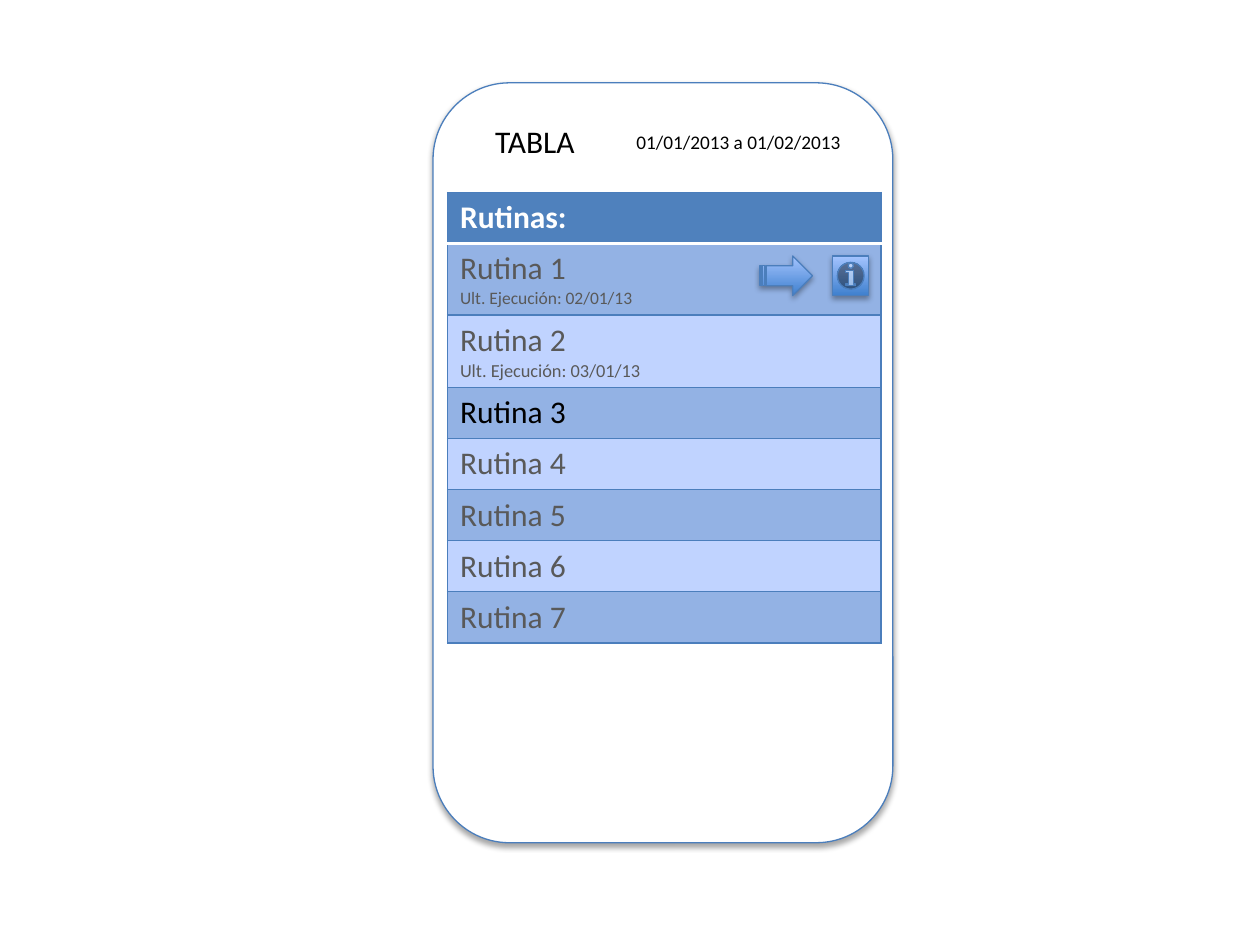
from typing import NamedTuple

from lxml.etree import SubElement
from pptx import Presentation
from pptx.dml.color import RGBColor
from pptx.enum.shapes import MSO_SHAPE
from pptx.enum.text import PP_ALIGN
from pptx.oxml.ns import qn
from pptx.util import Cm, Pt

WHITE = RGBColor(0xFF, 0xFF, 0xFF)
BLACK = RGBColor(0, 0, 0)
GRAY = RGBColor(0x59, 0x59, 0x59)
OUTLINE = RGBColor(0x4B, 0x7E, 0xBC)
HEADER = RGBColor(0x4F, 0x81, 0xBD)
BAND_DARK = RGBColor(0x93, 0xB2, 0xE4)
BAND_LIGHT = RGBColor(0xC0, 0xD3, 0xFF)
GRADIENT = (RGBColor(0x3F, 0x80, 0xCE), RGBColor(0xA4, 0xC4, 0xFF))
FONT = "Calibri"


class Box(NamedTuple):
    left: float
    top: float
    width: float
    height: float

    def lengths(self) -> tuple:
        return tuple(Cm(v) for v in self)


class Label(NamedTuple):
    text: str
    box: Box
    size: float
    align: PP_ALIGN


class Routine(NamedTuple):
    name: str
    detail: str = ""
    detail_size: float = 10
    color: RGBColor = GRAY


class Icon(NamedTuple):
    kind: MSO_SHAPE
    box: Box


LABELS = [
    Label("TABLA", Box(9.73, 2.34, 7.32, 1.03), 18, PP_ALIGN.LEFT),
    Label("01/01/2013 a 01/02/2013", Box(9.35, 2.51, 7.85, 0.73), 11, PP_ALIGN.RIGHT),
]
ROUTINES = [
    Routine("Rutina 1", "Ult. Ejecución: 02/01/13"),
    Routine("Rutina 2", "Ult. Ejecución: 03/01/13", 10.5),
    Routine("Rutina 3", color=BLACK),
    *(Routine(f"Rutina {n}") for n in range(4, 8)),
]
ICONS = [
    Icon(MSO_SHAPE.ACTION_BUTTON_INFORMATION, Box(16.79, 5.16, 0.72, 0.8)),
    Icon(MSO_SHAPE.STRIPED_RIGHT_ARROW, Box(15.32, 5.16, 1.06, 0.8)),
]
ROW_HEIGHT = 1.03


def add_run(p, text: str, size: float, color: RGBColor, bold: bool = False) -> None:
    r = p.add_run()
    r.text = text
    r.font.name = FONT
    r.font.size = Pt(size)
    r.font.bold = bold
    r.font.color.rgb = color


def add_outlined_shape(slide, kind: MSO_SHAPE, box: Box):
    sp = slide.shapes.add_shape(kind, *box.lengths())
    sp.line.color.rgb = OUTLINE
    sp.line.width = Pt(0.75)
    sp.shadow.inherit = False
    effects = sp._element.spPr.find(qn("a:effectLst"))
    shadow = SubElement(effects, qn("a:outerShdw"), blurRad="40000",
                        dist="23000", dir="5400000", rotWithShape="0")
    color = SubElement(shadow, qn("a:srgbClr"), val=str(BLACK))
    SubElement(color, qn("a:alpha"), val="35000")
    return sp


def add_label(slide, label: Label) -> None:
    tf = slide.shapes.add_textbox(*label.box.lengths()).text_frame
    tf.word_wrap = True
    p = tf.paragraphs[0]
    p.alignment = label.align
    add_run(p, label.text, label.size, BLACK)


def add_icon(slide, icon: Icon) -> None:
    sp = add_outlined_shape(slide, icon.kind, icon.box)
    sp.fill.gradient()
    sp.fill.gradient_angle = 90
    for stop, color in zip(sp.fill.gradient_stops, GRADIENT):
        stop.color.rgb = color


def style_cell(cell, fill: RGBColor, top: tuple, bottom: tuple) -> None:
    side = (OUTLINE, 0.75)
    tc_pr = cell._tc.get_or_add_tcPr()
    for tag, (color, width) in zip("LRTB", (side, side, top, bottom)):
        ln = SubElement(tc_pr, qn(f"a:ln{tag}"), w=str(Pt(width)))
        solid = SubElement(ln, qn("a:solidFill"))
        SubElement(solid, qn("a:srgbClr"), val=str(color))
    cell.fill.solid()
    cell.fill.fore_color.rgb = fill


def add_routine_table(slide) -> None:
    count = len(ROUTINES) + 1
    box = Box(9.02, 3.88, 8.74, ROW_HEIGHT * count)
    table = slide.shapes.add_table(count, 1, *box.lengths()).table
    for row in table.rows:
        row.height = Cm(ROW_HEIGHT)
    thin, divider = (OUTLINE, 0.75), (WHITE, 2)
    header = table.cell(0, 0)
    style_cell(header, HEADER, thin, divider)
    add_run(header.text_frame.paragraphs[0], "Rutinas:", 18, WHITE, True)
    for i, routine in enumerate(ROUTINES, 1):
        cell = table.cell(i, 0)
        style_cell(cell, BAND_DARK if i % 2 else BAND_LIGHT,
                   divider if i == 1 else thin, thin)
        tf = cell.text_frame
        add_run(tf.paragraphs[0], routine.name, 18, routine.color)
        if routine.detail:
            add_run(tf.add_paragraph(), routine.detail, routine.detail_size, routine.color)


prs = Presentation()
prs.slide_width, prs.slide_height = Cm(25.4), Cm(19.05)
slide = prs.slides.add_slide(prs.slide_layouts[6])

phone = add_outlined_shape(slide, MSO_SHAPE.ROUNDED_RECTANGLE, Box(8.73, 1.67, 9.27, 15.32))
phone.fill.solid()
phone.fill.fore_color.rgb = WHITE
for label in LABELS:
    add_label(slide, label)
add_routine_table(slide)
for icon in ICONS:
    add_icon(slide, icon)

prs.save("out.pptx")
